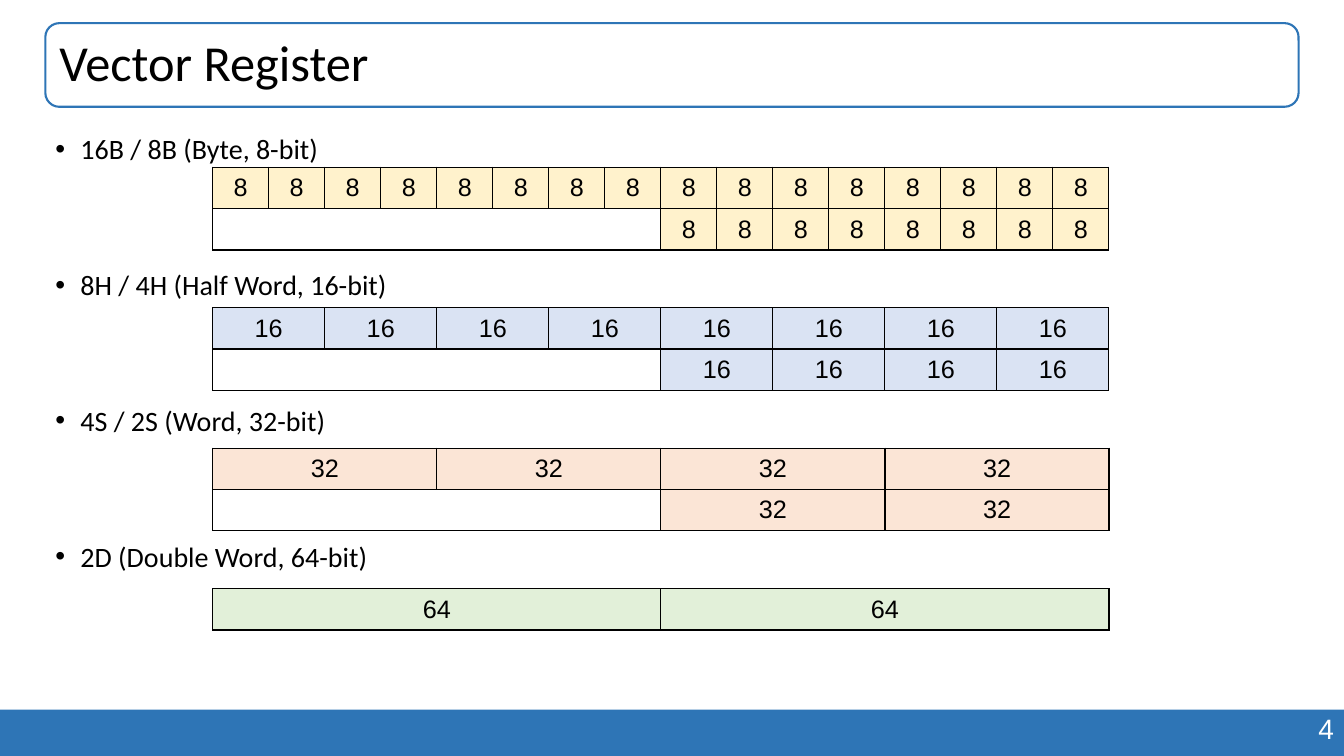
from lxml import etree
from pptx import Presentation
from pptx.dml.color import RGBColor
from pptx.enum.shapes import MSO_SHAPE
from pptx.enum.text import MSO_ANCHOR, PP_ALIGN
from pptx.oxml.ns import qn
from pptx.util import Inches, Pt

RECT, ROUNDED = MSO_SHAPE.RECTANGLE, MSO_SHAPE.ROUNDED_RECTANGLE
MIDDLE = MSO_ANCHOR.MIDDLE
LEFT, CENTER, RIGHT = PP_ALIGN.LEFT, PP_ALIGN.CENTER, PP_ALIGN.RIGHT
COLORS = {
    "accent": "2E75B6", "black": "000000", "white": "FFFFFF",
    "byte": "FFF2CC", "half": "DAE3F3", "word": "FBE5D6", "double": "E2F0D9",
}
REGISTER_BITS = 128
BYTE_LANES = 16
REGISTER_LEFT, REGISTER_WIDTH = Inches(2.11), Inches(8.89)
ROW_HEIGHT = Inches(0.41)
FIRST_TOP, LAST_TOP = Inches(1.66), Inches(5.84)
MARGIN, CONTENT_WIDTH = Inches(0.45), Inches(12.43)

FORMATS = [
    ("16B / 8B (Byte, 8-bit)", 8, 2, "byte"),
    ("8H / 4H (Half Word, 16-bit)", 16, 2, "half"),
    ("4S / 2S (Word, 32-bit)", 32, 2, "word"),
    ("2D (Double Word, 64-bit)", 64, 1, "double"),
]


def rgb(key):
    return RGBColor.from_string(COLORS[key])


def style(paragraph, size, face, color, align):
    paragraph.alignment = align
    paragraph.font.size = Pt(size)
    paragraph.font.name = face
    paragraph.font.color.rgb = rgb(color)


prs = Presentation()
prs.slide_width, prs.slide_height = Inches(13.33), Inches(7.5)
slide = prs.slides.add_slide(prs.slide_layouts[6])
shapes = slide.shapes

footer_height = Inches(0.46)
footer = shapes.add_shape(RECT, 0, prs.slide_height - footer_height,
                          prs.slide_width, footer_height)
footer.shadow.inherit = False
footer.fill.solid()
footer.fill.fore_color.rgb = rgb("accent")
footer.line.fill.background()

page_number = shapes.add_textbox(Inches(9.43), Inches(7.01), Inches(3.9), Inches(0.44))
page_number.text_frame.word_wrap = True
page_number.text_frame.text = "4"
style(page_number.text_frame.paragraphs[0], 20, "Arial", "white", RIGHT)

title = shapes.add_shape(ROUNDED, MARGIN, Inches(0.23), CONTENT_WIDTH, Inches(0.83))
title.shadow.inherit = False
title.fill.background()
title.line.color.rgb = rgb("accent")
title.line.width = Pt(1.5)
title.text_frame.margin_left = Inches(0.1)
title.text_frame.vertical_anchor = MIDDLE
title.text_frame.text = "Vector Register"
title.text_frame.paragraphs[0].line_spacing = 0.9
style(title.text_frame.paragraphs[0], 36, "Calibri", "black", LEFT)

body = shapes.add_textbox(MARGIN, Inches(1.26), CONTENT_WIDTH, Inches(5.53))
body.text_frame.word_wrap = True
body.text_frame.text = "\n".join(label for label, *_ in FORMATS)
for index, bullet in enumerate(body.text_frame.paragraphs):
    properties = bullet._p.get_or_add_pPr()
    properties.set("marL", str(Inches(0.25)))
    properties.set("indent", str(-Inches(0.25)))
    etree.SubElement(properties, qn("a:buFont"), typeface="Arial")
    etree.SubElement(properties, qn("a:buChar"), char="•")
    if index:
        bullet.space_before = Pt(73)
    style(bullet, 20, "Calibri", "black", LEFT)

register_pitch = (LAST_TOP - FIRST_TOP) / (len(FORMATS) - 1)
for index, (label, bits, rows, color) in enumerate(FORMATS):
    lanes = REGISTER_BITS // bits
    top = int(FIRST_TOP + index * register_pitch)
    register = shapes.add_table(rows, lanes, REGISTER_LEFT, top,
                                REGISTER_WIDTH, rows * ROW_HEIGHT).table
    register.first_row = register.horz_banding = False
    for column in register.columns:
        column.width = REGISTER_WIDTH // BYTE_LANES * (bits // 8)
    for row in range(rows):
        register.rows[row].height = ROW_HEIGHT
        for lane in range(lanes):
            used = row == 0 or lane >= lanes // 2
            cell = register.cell(row, lane)
            cell.vertical_anchor = MIDDLE
            cell.text = str(bits) if used else ""
            style(cell.text_frame.paragraphs[0], 18, "Arial", "black", CENTER)
            cell_properties = cell._tc.get_or_add_tcPr()
            for side in ("lnL", "lnR", "lnT", "lnB"):
                border = etree.SubElement(cell_properties, qn(f"a:{side}"), w=str(Pt(1)))
                paint = etree.SubElement(border, qn("a:solidFill"))
                etree.SubElement(paint, qn("a:srgbClr"), val=COLORS["black"])
            cell.fill.solid()
            cell.fill.fore_color.rgb = rgb(color if used else "white")
    if rows == 2:
        register.cell(1, 0).merge(register.cell(1, lanes // 2 - 1))

prs.save("out.pptx")
